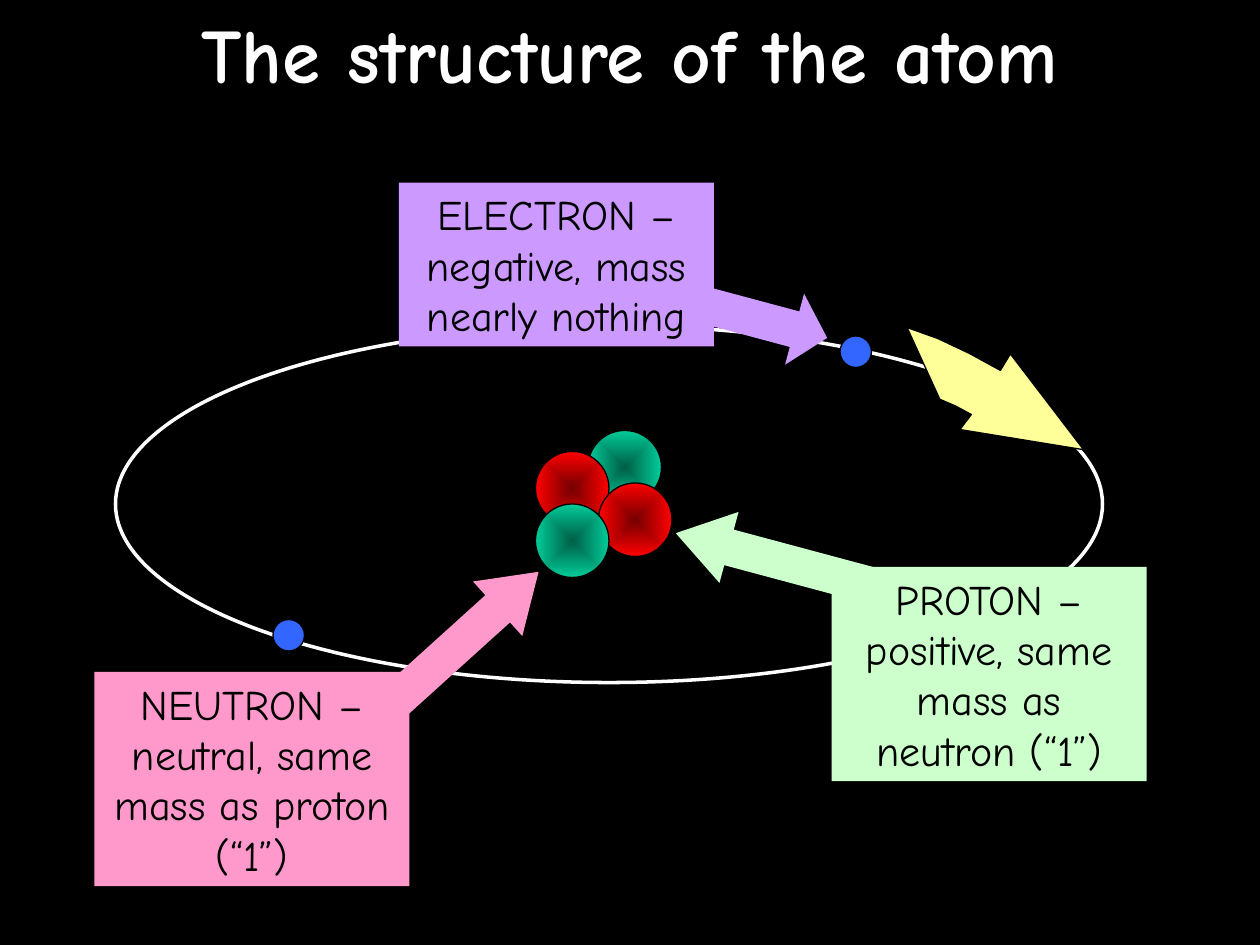
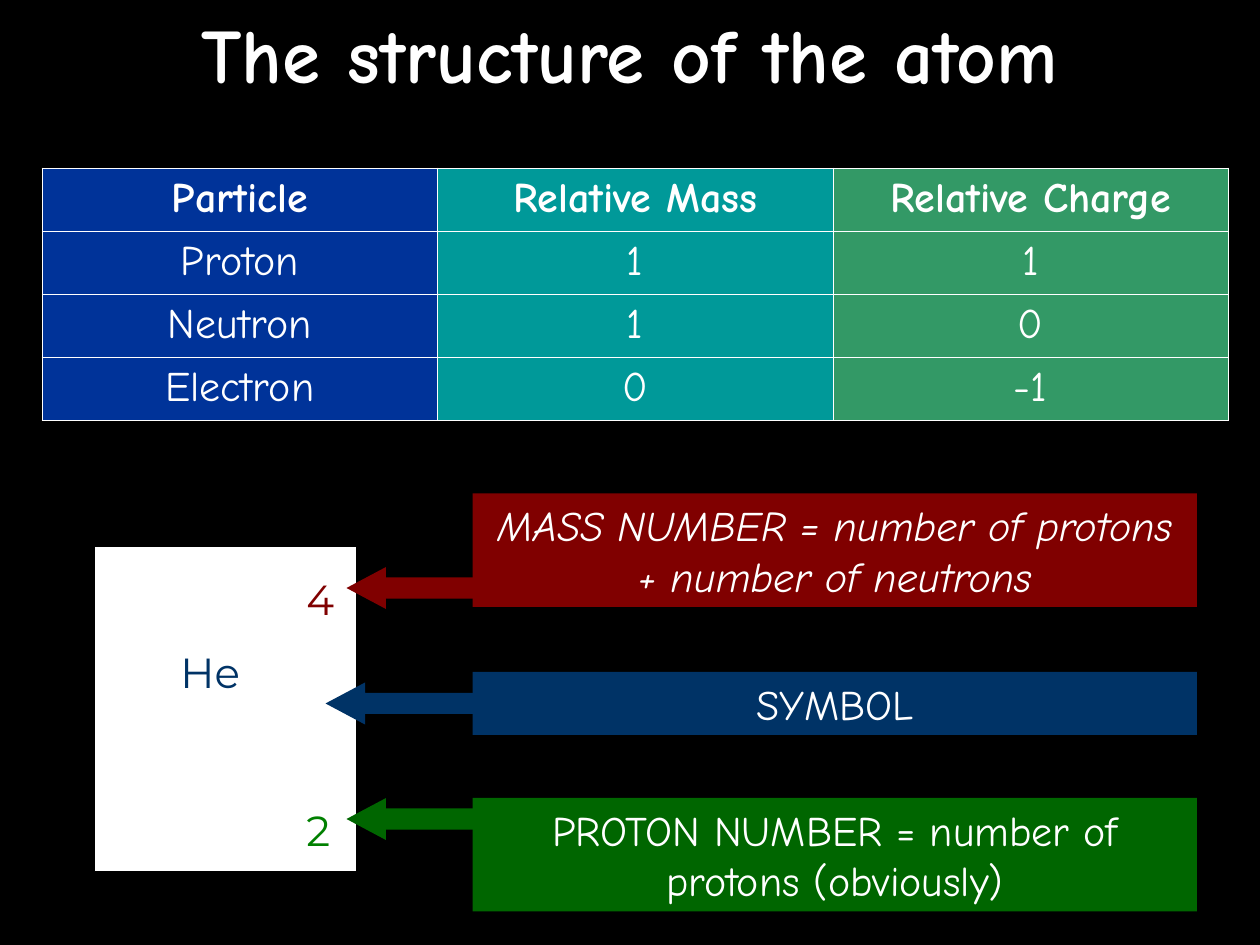
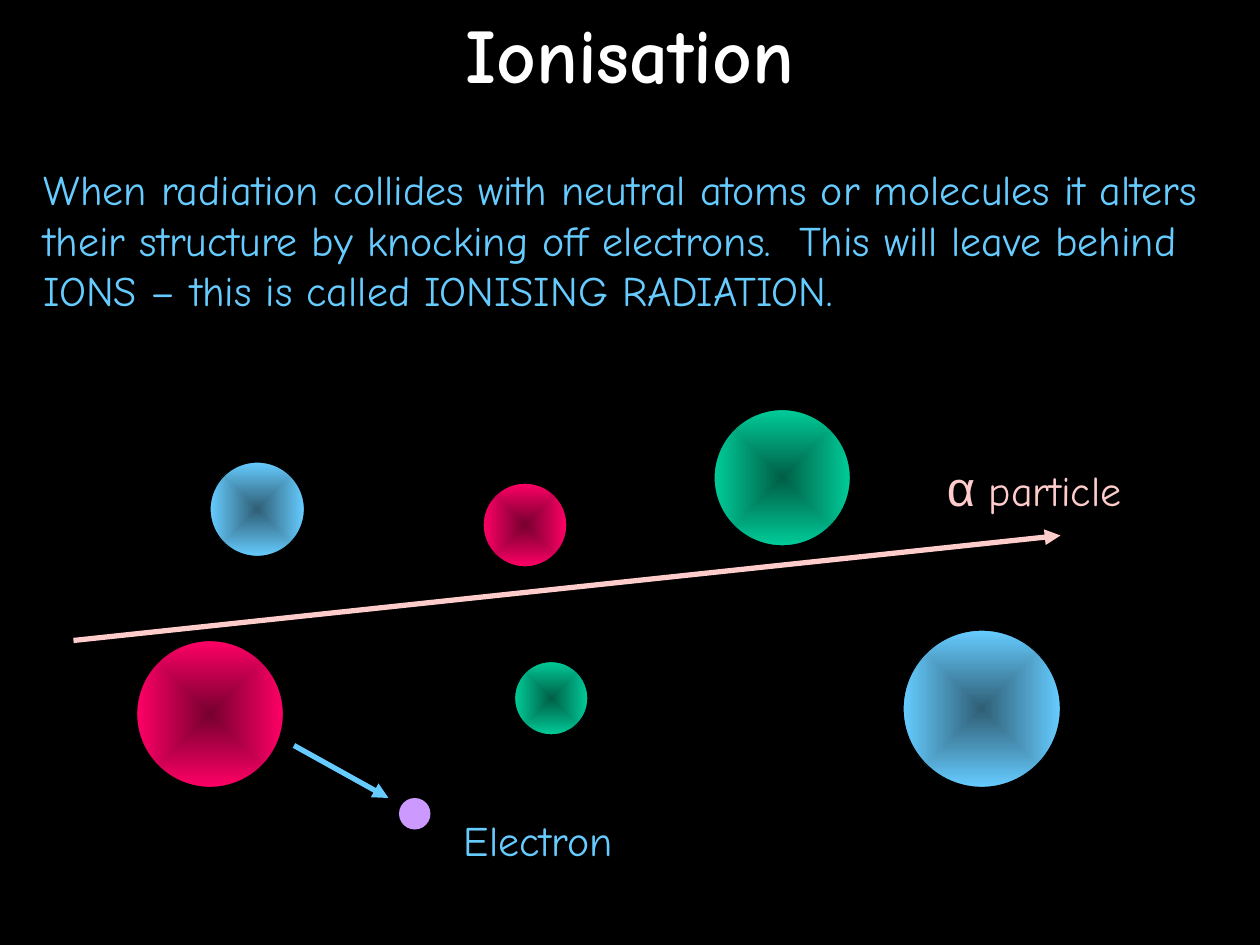
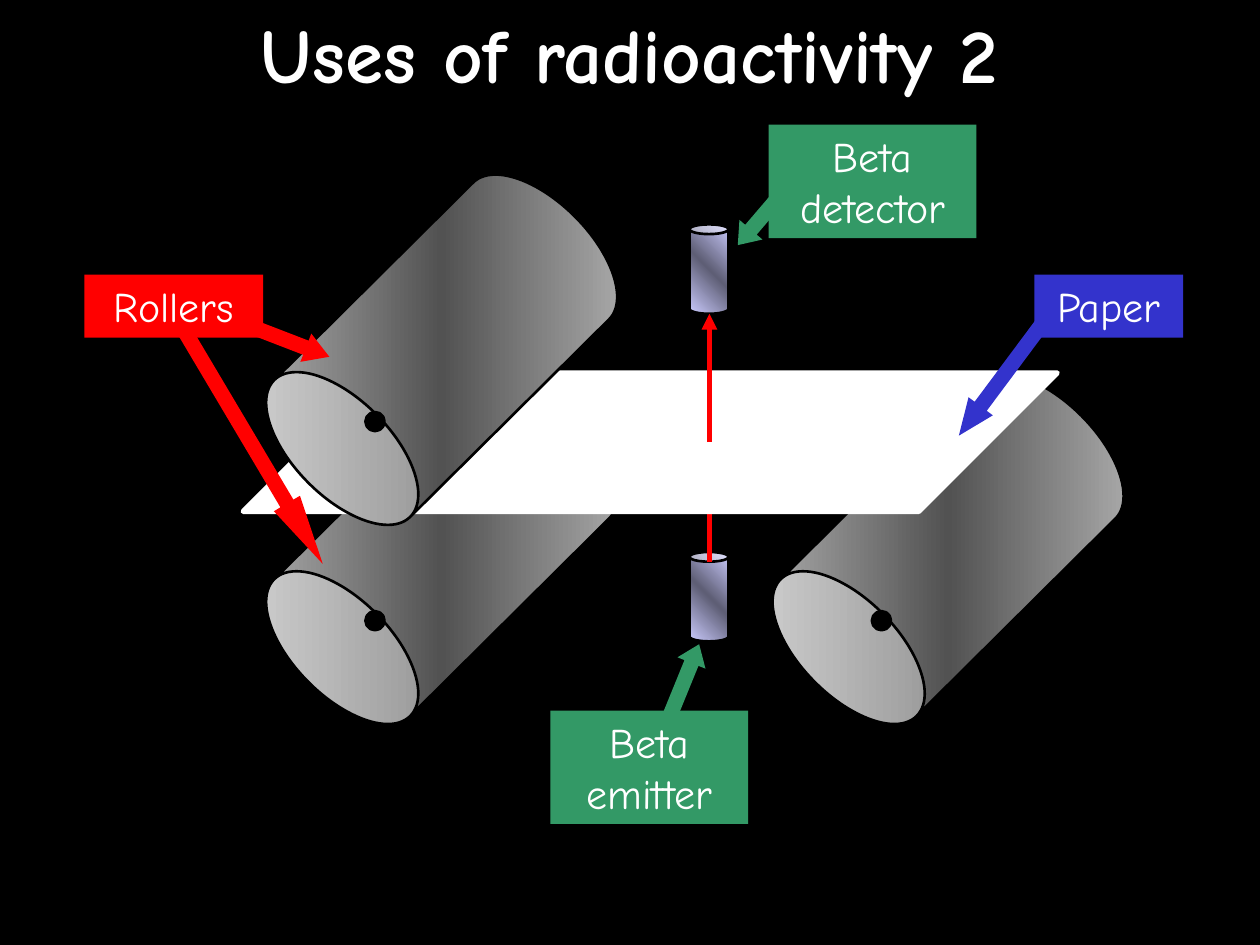
from lxml import etree
from pptx import Presentation
from pptx.dml.color import RGBColor
from pptx.enum.shapes import MSO_CONNECTOR, MSO_SHAPE
from pptx.enum.text import MSO_ANCHOR, PP_ALIGN
from pptx.oxml import parse_xml
from pptx.oxml.ns import nsdecls, qn
from pptx.util import Pt

FONT = "Comic Neue"
BLACK, WHITE, RED, SKY, PINK = "000000", "FFFFFF", "FF0000", "66CCFF", "FFCCCC"
LILAC, GREEN, ELECTRON = "CC99FF", "339966", "3366FF"
LINE_HEIGHT, INSET = 28.8, 3.6
LEFT, RIGHT, UP = MSO_SHAPE.LEFT_ARROW, MSO_SHAPE.RIGHT_ARROW, MSO_SHAPE.UP_ARROW

# Ball gradients run from centre to rim
TEAL_BALL = ("005E46", "00CC99")
RED_BALL = ("750000", "FF0000")
ROSE_BALL = ("75002F", "FF0066")
SKY_BALL = ("2F5E75", "66CCFF")
ROLLER_METAL = ("B2B2B2", "525252", "B2B2B2")
BETA_METAL = ("CCCCFF", "5E5E75", "CCCCFF")

# Balls: left, top, diameter, gradient
NUCLEUS = [(336, 246, 42, TEAL_BALL), (306, 258, 42, RED_BALL),
           (342, 276, 42, RED_BALL), (306, 288, 42, TEAL_BALL)]
ATOMS = [(120, 264, 54, SKY_BALL), (276, 276, 48, ROSE_BALL), (408, 234, 78, TEAL_BALL),
         (78, 366, 84, ROSE_BALL), (516, 360, 90, SKY_BALL), (294, 378, 42, TEAL_BALL)]
ORBIT = (66, 186, 564, 204)
ORBIT_ELECTRONS = [(156, 354), (480, 192)]
MOTION_ARROW = [(518.4, 187.2), (536, 193.5), (554, 202), (571.7, 211.7), (577.4, 202.3),
                (619.2, 257), (548.6, 245.5), (555.1, 236.9), (546, 232), (537.1, 228.2)]

# Callouts: text, fill, (left, top, width), lines, arrows
# Arrows: preset, (left, top, width, height), rotation, head length
PARTICLES = [
    ("ELECTRON – negative, mass nearly nothing", LILAC, (228, 104.4, 180), 3,
     [(LEFT, (396, 162, 78, 42), 195, 0.46)]),
    ("PROTON – positive, same mass as neutron (“1”)", "CCFFCC", (475.2, 324, 180), 4,
     [(LEFT, (384, 300, 126, 42), 15, 0.75)]),
    ("NEUTRON – neutral, same mass as proton (“1”)", "FF99CC", (54, 384, 180), 4,
     [(LEFT, (198, 348, 126, 42), 137.9, 0.75)]),
]
# Symbol key: text, fill, top, lines, arrow left and top, italic
SYMBOL_KEY = [
    ("MASS NUMBER = number of protons + number of neutrons", "800000", 282, 2, (198, 324), True),
    ("SYMBOL", "003366", 384, 1, (186, 390), False),
    ("PROTON NUMBER = number of protons (obviously)", "006600", 456, 2, (198, 456), False),
]
HELIUM = [("He", "003366", (96, 366, 66, 75)), ("2", "008000", (168, 456, 24, 27)),
          ("4", "800000", (168, 324, 24, 30))]
PARTICLE_TABLE = [("Particle", "Relative Mass", "Relative Charge"),
                  ("Proton", "1", "1"), ("Neutron", "1", "0"), ("Electron", "0", "-1")]
COLUMN_FILLS = ("003399", "009999", GREEN)

IONISATION = ("When radiation collides with neutral atoms or molecules it alters their "
              "structure by knocking off electrons.  This will leave behind IONS – this is "
              "called IONISING RADIATION.")

MACHINE_LABELS = [
    ("Rollers", RED, (48.2, 157, 102.2), 1,
     [(RIGHT, (133.2, 185, 56.9, 17.3), 21.1, 0.83),
      (RIGHT, (64.8, 245.5, 158.4, 17.3), 59.3, 2.32)]),
    ("Beta emitter", GREEN, (314.6, 406.1, 113), 2,
     [(UP, (382.3, 366.5, 17.3, 45.4), 22.2, 0.67)]),
    ("Beta detector", GREEN, (439.2, 71.3, 118.8), 2,
     [(UP, (427.7, 100.1, 17.3, 45.4), 220.5, 0.67)]),
    ("Paper", "3333CC", (591.1, 157, 85), 1,
     [(LEFT, (531.4, 207.4, 82.1, 17.3), 306.7, 1.21)]),
]
BACK_ROLLERS = [(486.7, 206), (197.3, 206)]
TOP_ROLLER = (197.3, 92.2)
BETA_TOPS = (128.2, 315.4)
BEAM_X = 405.4


def rgb(value):
    return RGBColor.from_string(value)


def gradient(shape, colours, angle=None):
    """Fill evenly stepped colours along an angle, or from the centre outwards."""
    step = 100000 // (len(colours) - 1)
    stops = "".join(f'<a:gs pos="{i * step}"><a:srgbClr val="{c}"/></a:gs>'
                    for i, c in enumerate(colours))
    if angle is None:
        course = ('<a:path path="rect"><a:fillToRect l="50000" t="50000" r="50000" '
                  'b="50000"/></a:path>')
    else:
        course = f'<a:lin ang="{angle * 60000}" scaled="1"/>'
    shape.fill.background()
    props = shape.element.spPr
    props.replace(props.find(qn("a:noFill")), parse_xml(
        f'<a:gradFill {nsdecls("a")} rotWithShape="0"><a:gsLst>{stops}</a:gsLst>'
        f'{course}</a:gradFill>'))


def paint(shape, fill=None, line=None, width=0.75, angle=None):
    shape.shadow.inherit = False
    if isinstance(fill, tuple):
        gradient(shape, fill, angle)
    elif fill:
        shape.fill.solid()
        shape.fill.fore_color.rgb = rgb(fill)
    else:
        shape.fill.background()
    if line:
        shape.line.color.rgb = rgb(line)
        shape.line.width = Pt(width)
    else:
        shape.line.fill.background()


def add_shape(s, kind, box, adjust=(), rotation=0, **look):
    shape = s.shapes.add_shape(kind, *map(Pt, box))
    for i, value in enumerate(adjust):
        shape.adjustments[i] = value
    shape.rotation = rotation
    paint(shape, **look)
    return shape


def write(tf, text, size=24, colour=WHITE, font=FONT, bold=False, italic=False,
          align=PP_ALIGN.LEFT, anchor=MSO_ANCHOR.TOP, wrap=True):
    """Write a string, or a list of (string, size, font) runs."""
    tf.word_wrap = wrap
    tf.vertical_anchor = anchor
    p = tf.paragraphs[0]
    p.alignment = align
    runs = [(text, size, font)] if isinstance(text, str) else text
    for words, run_size, run_font in runs:
        r = p.add_run()
        r.text = words
        r.font.size = Pt(run_size)
        r.font.name = run_font
        r.font.bold = bold
        r.font.italic = italic
        r.font.color.rgb = rgb(colour)


def add_text(s, box, text, **style):
    write(s.shapes.add_textbox(*map(Pt, box)).text_frame, text, **style)


def add_line(s, start, end, colour, arrow=False):
    line = s.shapes.add_connector(MSO_CONNECTOR.STRAIGHT, *map(Pt, start + end))
    line.line.color.rgb = rgb(colour)
    line.line.width = Pt(3)
    if arrow:
        etree.SubElement(line.line._get_or_add_ln(), qn("a:tailEnd"), type="triangle")
    etree.SubElement(line.element.spPr, qn("a:effectLst"))


def add_balls(s, balls):
    for x, y, size, colours in balls:
        add_shape(s, MSO_SHAPE.OVAL, (x, y, size, size), fill=colours, line=BLACK)


def add_callout(s, text, fill, place, lines, arrows, colour=WHITE, italic=False):
    for kind, box, rotation, head in arrows:
        add_shape(s, kind, box, (0.5, head), rotation, fill=fill)
    height = lines * LINE_HEIGHT + 2 * INSET
    label = add_shape(s, MSO_SHAPE.RECTANGLE, (*place, height), fill=fill)
    write(label.text_frame, text, colour=colour, italic=italic, align=PP_ALIGN.CENTER)


def add_slide(prs, title):
    s = prs.slides.add_slide(prs.slide_layouts[6])
    add_text(s, (0, 0, 720, 60.5), title, size=44, bold=True,
             align=PP_ALIGN.CENTER, anchor=MSO_ANCHOR.MIDDLE)
    return s


def border(cell):
    props = cell._tc.get_or_add_tcPr()
    for i, side in enumerate(("lnL", "lnR", "lnT", "lnB")):
        props.insert(i, parse_xml(
            f'<a:{side} {nsdecls("a")} w="{Pt(0.45)}"><a:solidFill>'
            f'<a:srgbClr val="{WHITE}"/></a:solidFill></a:{side}>'))


def add_particle_table(s):
    rows, cols = len(PARTICLE_TABLE), len(COLUMN_FILLS)
    table = s.shapes.add_table(rows, cols, *map(Pt, (24, 96, 678, 144))).table
    table.first_row = table.horz_banding = False
    for i, row in enumerate(PARTICLE_TABLE):
        for j, text in enumerate(row):
            cell = table.cell(i, j)
            cell.fill.solid()
            cell.fill.fore_color.rgb = rgb(COLUMN_FILLS[j])
            border(cell)
            write(cell.text_frame, text, bold=i == 0, align=PP_ALIGN.CENTER)


def add_roller(s, x, y):
    add_shape(s, MSO_SHAPE.CAN, (x, y, 110.2, 215.3), (0.5,), 225.2,
              fill=ROLLER_METAL, line=BLACK, width=1.5, angle=0)
    add_shape(s, MSO_SHAPE.OVAL, (x + 12.3, y + 144, 9.4, 9.4), fill=BLACK, line=BLACK, width=3)


def atom_slide(prs):
    s = add_slide(prs, "The structure of the atom")
    add_balls(s, NUCLEUS)
    add_shape(s, MSO_SHAPE.OVAL, ORBIT, line=WHITE, width=2)
    add_balls(s, [(x, y, 18, ELECTRON) for x, y in ORBIT_ELECTRONS])
    start, *rest = [(Pt(x), Pt(y)) for x, y in MOTION_ARROW]
    outline = s.shapes.build_freeform(*start)
    outline.add_line_segments(rest, close=True)
    paint(outline.convert_to_shape(), "FFFF99", BLACK)
    for particle in PARTICLES:
        add_callout(s, *particle, colour=BLACK)


def symbol_slide(prs):
    s = add_slide(prs, "The structure of the atom")
    add_particle_table(s)
    add_shape(s, MSO_SHAPE.RECTANGLE, (54, 312, 150, 186), fill=WHITE, line=BLACK)
    for text, colour, box in HELIUM:
        add_text(s, box, text, colour=colour, font="Montserrat", wrap=False)
    for text, fill, top, lines, tip, italic in SYMBOL_KEY:
        add_callout(s, text, fill, (270, top, 414), lines,
                    [(LEFT, (*tip, 90, 24), 0, 0.94)], italic=italic)


def ionisation_slide(prs):
    s = add_slide(prs, "Ionisation")
    add_text(s, (18, 90, 684, 93.6), IONISATION, colour=SKY)
    add_balls(s, ATOMS)
    add_line(s, (42, 366), (606, 306), PINK, arrow=True)
    add_text(s, (534, 258, 162, 41), [("α ", 28, "Arial"), ("particle", 24, FONT)], colour=PINK)
    add_line(s, (168, 426), (222, 456), SKY, arrow=True)
    add_shape(s, MSO_SHAPE.OVAL, (228, 456, 18, 18), fill=LILAC)
    add_text(s, (258, 462, 174, 36), "Electron", colour=SKY)


def rollers_slide(prs):
    s = add_slide(prs, "Uses of radioactivity 2")
    for x, y in BACK_ROLLERS:
        add_roller(s, x, y)
    for top in BETA_TOPS:
        add_shape(s, MSO_SHAPE.CAN, (394, top, 22.3, 51.1), (0.25,),
                  fill=BETA_METAL, line=BLACK, width=1.5, angle=135)
    add_line(s, (BEAM_X, 321), (BEAM_X, 292.3), RED)
    add_shape(s, MSO_SHAPE.PARALLELOGRAM, (139, 213.1, 465.1, 79.2), (1,),
              fill=WHITE, line=WHITE, width=3)
    add_roller(s, *TOP_ROLLER)
    add_line(s, (BEAM_X, 252.7), (BEAM_X, 179.3), RED, arrow=True)
    for label in MACHINE_LABELS:
        add_callout(s, *label)


def main():
    prs = Presentation()
    prs.slide_width, prs.slide_height = Pt(720), Pt(540)
    background = prs.slide_master.background.fill
    background.solid()
    background.fore_color.rgb = rgb(BLACK)
    for build in (atom_slide, symbol_slide, ionisation_slide, rollers_slide):
        build(prs)
    prs.save("out.pptx")


if __name__ == "__main__":
    main()
